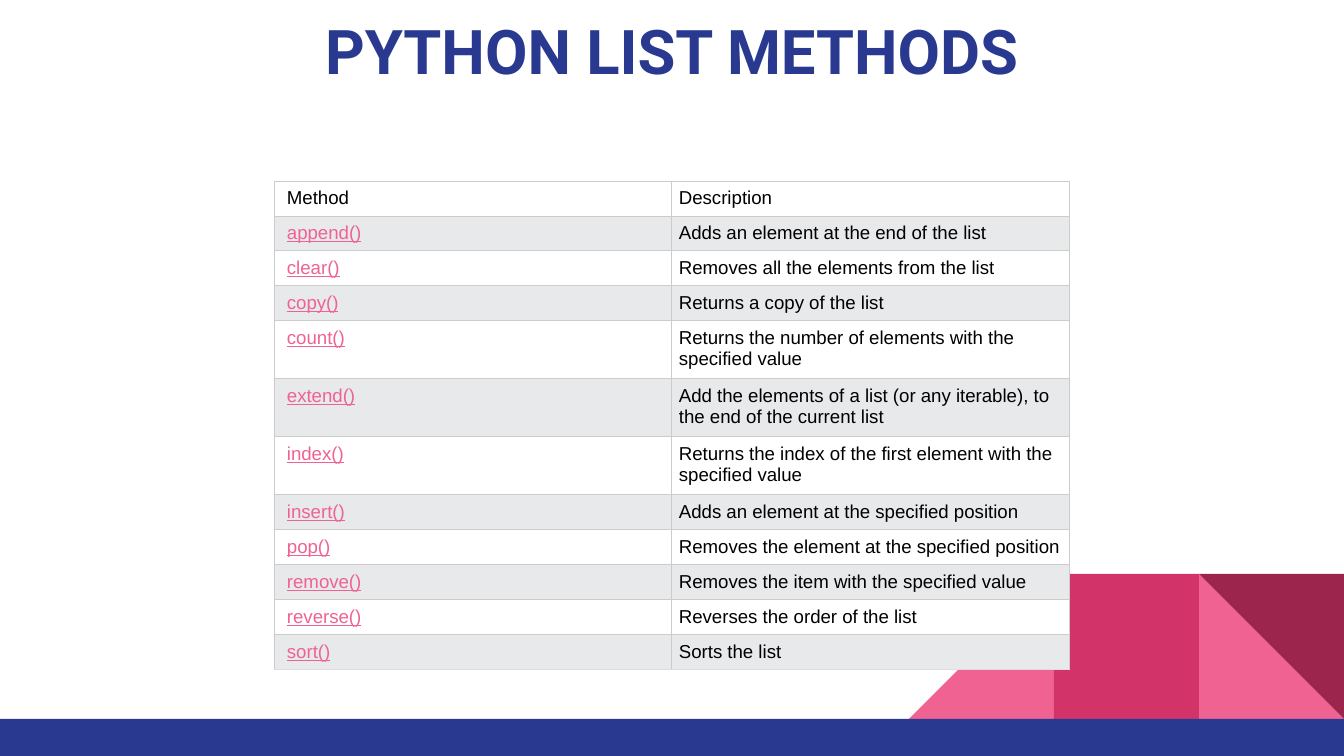
from lxml.etree import SubElement
from pptx import Presentation
from pptx.dml.color import RGBColor
from pptx.enum.shapes import MSO_SHAPE as Shape
from pptx.enum.text import MSO_ANCHOR as Anchor, MSO_AUTO_SIZE as Fit, PP_ALIGN as Align
from pptx.oxml.ns import qn
from pptx.util import Pt

SCALE = 914400 / 134.4
NAVY = RGBColor(0x2A, 0x39, 0x90)
PINK = RGBColor(0xF0, 0x62, 0x92)
ROSE = RGBColor(0xD2, 0x33, 0x69)
WINE = RGBColor(0x9C, 0x25, 0x4D)
BLACK = RGBColor(0, 0, 0)
WHITE = RGBColor(0xFF, 0xFF, 0xFF)
GREY = RGBColor(0xE7, 0xE9, 0xEB)
RULE = RGBColor(0xCC, 0xCC, 0xCC)
BASE = RGBColor(0xDD, 0xDD, 0xDD)

WIDE, HIGH = 1344, 756
TILE, FLOOR = 145, 719
ROW, TALL = 35, 58
METHODS = [
    ("Method", "Description"),
    ("append()", "Adds an element at the end of the list"),
    ("clear()", "Removes all the elements from the list"),
    ("copy()", "Returns a copy of the list"),
    ("count()", "Returns the number of elements with the specified value"),
    ("extend()", "Add the elements of a list (or any iterable), to the end of the current list"),
    ("index()", "Returns the index of the first element with the specified value"),
    ("insert()", "Adds an element at the specified position"),
    ("pop()", "Removes the element at the specified position"),
    ("remove()", "Removes the item with the specified value"),
    ("reverse()", "Reverses the order of the list"),
    ("sort()", "Sorts the list"),
]


def px(count):
    return round(count * SCALE)


def box(left, top, width, height):
    return [px(side) for side in (left, top, width, height)]


def style(run, font, size, color):
    run.font.name = font
    run.font.size = Pt(size)
    run.font.color.rgb = color


def add_block(slide, kind, place, color):
    block = slide.shapes.add_shape(kind, *box(*place))
    block.shadow.inherit = False
    block.fill.solid()
    block.fill.fore_color.rgb = color
    block.line.fill.background()
    return block


def add_tiles(slide):
    top = FLOOR - TILE
    left, mid, right = [WIDE - TILE * n for n in (3, 2, 1)]
    add_block(slide, Shape.RIGHT_TRIANGLE, (right, top, TILE, TILE), PINK)
    slope = add_block(slide, Shape.RIGHT_TRIANGLE, (left, top, TILE, TILE), PINK)
    slope._element.spPr.get_or_add_xfrm().set("flipH", "1")
    add_block(slide, Shape.RECTANGLE, (mid, top, TILE, TILE), ROSE)
    corner = add_block(slide, Shape.RIGHT_TRIANGLE, (right, top, TILE, TILE), WINE)
    corner.rotation = 180
    add_block(slide, Shape.RECTANGLE, (0, FLOOR, WIDE, HIGH - FLOOR), NAVY)


def set_title(slide, text):
    title = slide.shapes.title
    title.left, title.top, title.width, title.height = box(0, 0, WIDE, 89)
    frame = title.text_frame
    frame.text = text
    frame.auto_size = Fit.NONE
    frame.vertical_anchor = Anchor.TOP
    frame.margin_left = frame.margin_right = px(13)
    frame.margin_top = frame.margin_bottom = px(13)
    para = frame.paragraphs[0]
    para.alignment = Align.CENTER
    style(para.runs[0], "Roboto", 33, NAVY)
    para.runs[0].font.bold = True


def set_edges(cell, base):
    props = cell._tc.get_or_add_tcPr()
    edges = (("a:lnL", RULE), ("a:lnR", RULE), ("a:lnT", RULE), ("a:lnB", base))
    for spot, (tag, color) in enumerate(edges):
        line = SubElement(props, qn(tag), w=str(Pt(0.6)))
        fill = SubElement(line, qn("a:solidFill"))
        SubElement(fill, qn("a:srgbClr"), val=str(color))
        props.insert(spot, line)


def fill_cell(cell, text, inset, color, shade, base):
    cell.text = text
    cell.margin_left = px(inset)
    cell.margin_right = cell.margin_top = cell.margin_bottom = px(7)
    cell.fill.solid()
    cell.fill.fore_color.rgb = shade
    run = cell.text_frame.paragraphs[0].runs[0]
    style(run, "Arial", 10, color)
    run.font.underline = color == PINK
    set_edges(cell, base)


def add_grid(slide):
    sizes = [TALL if len(note) > 50 else ROW for _, note in METHODS]
    place = box(274, 181, 796, sum(sizes))
    grid = slide.shapes.add_table(len(METHODS), 2, *place).table
    for col in grid.columns:
        col.width = px(398)
    for at, (name, note) in enumerate(METHODS):
        grid.rows[at].height = px(sizes[at])
        shade = GREY if at % 2 else WHITE
        base = BASE if at == len(METHODS) - 1 else RULE
        fill_cell(grid.cell(at, 0), name, 13, PINK if at else BLACK, shade, base)
        fill_cell(grid.cell(at, 1), note, 7, BLACK, shade, base)


def main():
    deck = Presentation()
    deck.slide_width, deck.slide_height = px(WIDE), px(HIGH)
    slide = deck.slides.add_slide(deck.slide_layouts[5])
    add_tiles(slide)
    set_title(slide, "PYTHON LIST METHODS")
    add_grid(slide)
    deck.save("out.pptx")


if __name__ == "__main__":
    main()
